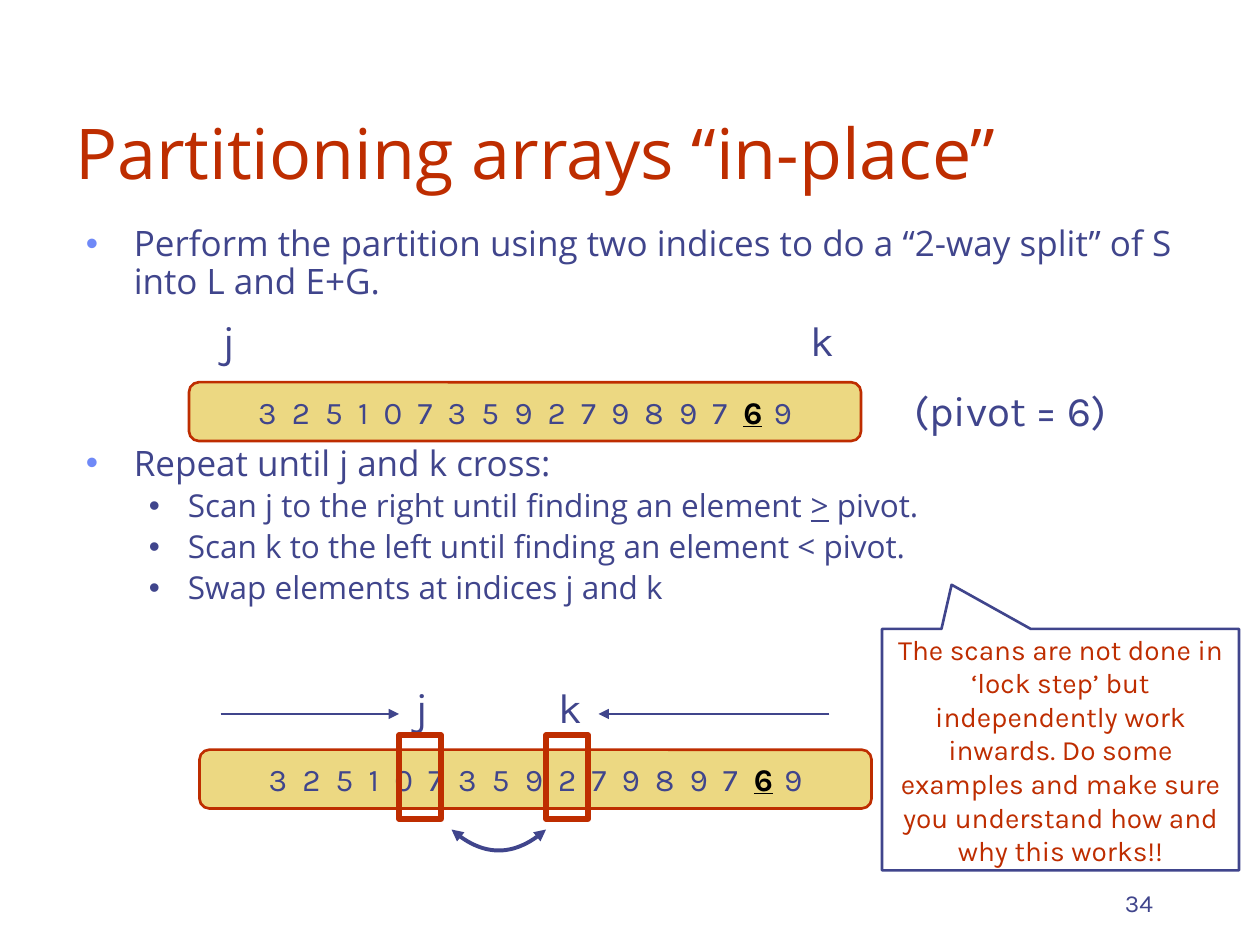
from lxml import etree
from pptx import Presentation
from pptx import util as u
from pptx.dml.color import RGBColor
from pptx.enum import shapes, text
from pptx.oxml import ns

RUST = RGBColor(0xBE, 0x2D, 0x00)
INDIGO = RGBColor(0x40, 0x45, 0x8C)
SKY = RGBColor(0x6F, 0x89, 0xF7)
SAND = RGBColor(0xEC, 0xD8, 0x82)
BLACK = RGBColor(0, 0, 0)

# The slide is a grid of 120 columns by 90 rows
WIDTH, HEIGHT = u.Inches(10), u.Inches(7.5)
CELL = WIDTH / 120

BODY_FONT = {"name": "Open Sans"}
LABEL_FONT = {"name": "Karla"}
CENTER = {"alignment": text.PP_ALIGN.CENTER}
MIDDLE = {"vertical_anchor": text.MSO_ANCHOR.MIDDLE}
BOTTOM = {"vertical_anchor": text.MSO_ANCHOR.BOTTOM}


def cells(*counts):
    return [u.Emu(round(count * CELL)) for count in counts]


def apply(target, values):
    for name, value in values.items():
        setattr(target, name, value)


def add_run(paragraph, words, size, color, font, **extra):
    run = paragraph.add_run()
    run.text = words
    apply(run.font, {"size": u.Pt(size), **font, **extra})
    run.font.color.rgb = color
    return run


def add_label(slide, box, words, size, color, font, paragraph_format, frame_format):
    shape = slide.shapes.add_textbox(*cells(*box))
    apply(shape.text_frame, {"word_wrap": True, **frame_format})
    paragraph = shape.text_frame.paragraphs[0]
    apply(paragraph, paragraph_format)
    add_run(paragraph, words, size, color, font)


def add_box(slide, kind, box, line_color, line_width, fill_color=None):
    shape = slide.shapes.add_shape(kind, *cells(*box))
    style_outline(shape, line_color, line_width)
    if fill_color is not None:
        shape.fill.solid()
        shape.fill.fore_color.rgb = fill_color
    return shape


def style_outline(shape, color, width):
    shape.shadow.inherit = False
    shape.fill.background()
    shape.line.color.rgb = color
    shape.line.width = u.Pt(width)


def add_arrowheads(shape, *ends):
    line = shape.line._get_or_add_ln()
    for end in ends:
        etree.SubElement(line, ns.qn(f"a:{end}"), type="triangle")


def set_bullet(paragraph, color, margin, indent):
    properties = paragraph._p.get_or_add_pPr()
    properties.set("marL", str(u.Inches(margin)))
    properties.set("indent", str(u.Inches(indent)))
    bullet_color = etree.SubElement(properties, ns.qn("a:buClr"))
    etree.SubElement(bullet_color, ns.qn("a:srgbClr"), val=str(color))
    etree.SubElement(properties, ns.qn("a:buFont"), typeface="Arial")
    etree.SubElement(properties, ns.qn("a:buChar"), char="•")


def add_body(slide, box):
    # Level, space before in points, and (words, underlined) runs
    items = [
        (0, 4, [("Perform the partition using two indices to do a “2-way split” "
                 "of S into L and E+G.", False)]),
        (0, 82, [("Repeat until j and k cross:", False)]),
        (1, 4, [("Scan j to the right until finding an element ", False),
                (">", True), (" pivot.", False)]),
        (1, 4, [("Scan k to the left until finding an element < pivot.", False)]),
        (1, 4, [("Swap elements at indices j and k", False)]),
    ]
    levels = [(20, SKY, 0.38, -0.38), (18, INDIGO, 0.81, -0.31)]
    frame = slide.shapes.add_textbox(*cells(*box)).text_frame
    frame.word_wrap = True
    for index, (level, gap, runs) in enumerate(items):
        paragraph = frame.add_paragraph() if index else frame.paragraphs[0]
        size, *bullet = levels[level]
        apply(paragraph, {"level": level, "line_spacing": 0.9, "space_before": u.Pt(gap)})
        set_bullet(paragraph, *bullet)
        for words, underlined in runs:
            add_run(paragraph, words, size, INDIGO, BODY_FONT, underline=underlined)


def add_array(slide, box, j_column, k_column):
    """Index labels above a bar that fills the foot of the box."""
    left, top, width, height = box
    bar_height = 5.6
    bar = add_box(slide, shapes.MSO_SHAPE.ROUNDED_RECTANGLE,
                  (left, top + height - bar_height, width, bar_height), RUST, 1.5, SAND)
    apply(bar.text_frame, {"word_wrap": False, **MIDDLE})
    paragraph = bar.text_frame.paragraphs[0]
    apply(paragraph, CENTER)
    marked = {"bold": True, "underline": True}
    for words, color, extra in [("3 2 5 1 0 7 3 5 9 2 7 9 8 9 7 ", INDIGO, {}),
                                ("6", BLACK, marked), (" 9", INDIGO, {})]:
        run = add_run(paragraph, words, 18, color, LABEL_FONT, **extra)
        if not extra:
            run.font._element.set("spc", "220")  # letter spacing, 1/100 point
    for name, column, label_width in [("j", j_column, 3.6), ("k", k_column, 4.4)]:
        add_label(slide, (left + column, top, label_width, 6), name, 24, INDIGO,
                  LABEL_FONT, CENTER, {**MIDDLE, "word_wrap": False})


def add_scan(slide, box):
    """Scan arrows, the two marked elements and the swap arrow."""
    left, top, width, height = box
    arrow_row = top + 3.7
    for start, end in [(2, 19), (width - 4, 38)]:
        arrow = slide.shapes.add_connector(
            shapes.MSO_CONNECTOR.STRAIGHT,
            *cells(left + start, arrow_row, left + end, arrow_row))
        arrow.line.color.rgb = INDIGO
        arrow.line.width = u.Pt(1.5)
        add_arrowheads(arrow, "tailEnd")
        etree.SubElement(arrow._element.spPr, ns.qn("a:effectLst"))
    for column in (19, 33):
        add_box(slide, shapes.MSO_SHAPE.RECTANGLE,
                (left + column, top + 5.7, 4, 8), RUST, 3)
    add_swap_arrow(slide, (left + 24, top + 14.7, 9, 2))


def add_swap_arrow(slide, box):
    left, top, width, depth = box
    steps = 24
    points = []
    for step in range(steps + 1):
        share = step / steps
        sag = 4 * share * (1 - share)
        points.append(cells(left + width * share, top + depth * sag))
    builder = slide.shapes.build_freeform(*points[0])
    builder.add_line_segments(points[1:], close=False)
    curve = builder.convert_to_shape()
    style_outline(curve, INDIGO, 2.25)
    add_arrowheads(curve, "headEnd", "tailEnd")


def add_callout(slide, box):
    callout = add_box(slide, shapes.MSO_SHAPE.RECTANGULAR_CALLOUT, box, INDIGO, 1.5)
    callout.adjustments[0], callout.adjustments[1] = -0.305, -0.683
    apply(callout.text_frame, {"word_wrap": True, **MIDDLE})
    paragraph = callout.text_frame.paragraphs[0]
    apply(paragraph, CENTER)
    add_run(paragraph, "The scans are not done in ‘lock step’ but independently work "
            "inwards. Do some examples and make sure you understand how and why "
            "this works!!", 16, RUST, LABEL_FONT)


def main():
    presentation = Presentation()
    apply(presentation, {"slide_width": WIDTH, "slide_height": HEIGHT})
    slide = presentation.slides.add_slide(presentation.slide_layouts[6])

    # Page number, title and bullets
    add_label(slide, (86, 82, 25, 6), "34", 14, INDIGO, LABEL_FONT,
              {"alignment": text.PP_ALIGN.RIGHT}, BOTTOM)
    add_label(slide, (6, 4, 102, 15), "Partitioning arrays “in-place”", 40, RUST,
              BODY_FONT, {}, BOTTOM)
    add_body(slide, (7, 21, 110, 63))

    # Array before the scan
    add_array(slide, (18, 29.4, 64, 12.6), 2, 58)
    add_label(slide, (85.4, 36, 21.7, 6), "(pivot = 6)", 24, INDIGO, LABEL_FONT,
              CENTER, {**MIDDLE, "word_wrap": False})

    # Array during the scan
    scan_box = (19, 64.3, 64, 12.7)
    add_array(slide, scan_box, 19.4, 33)
    add_scan(slide, scan_box)

    add_callout(slide, (84, 59.9, 34, 23))
    presentation.save("out.pptx")


if __name__ == "__main__":
    main()
